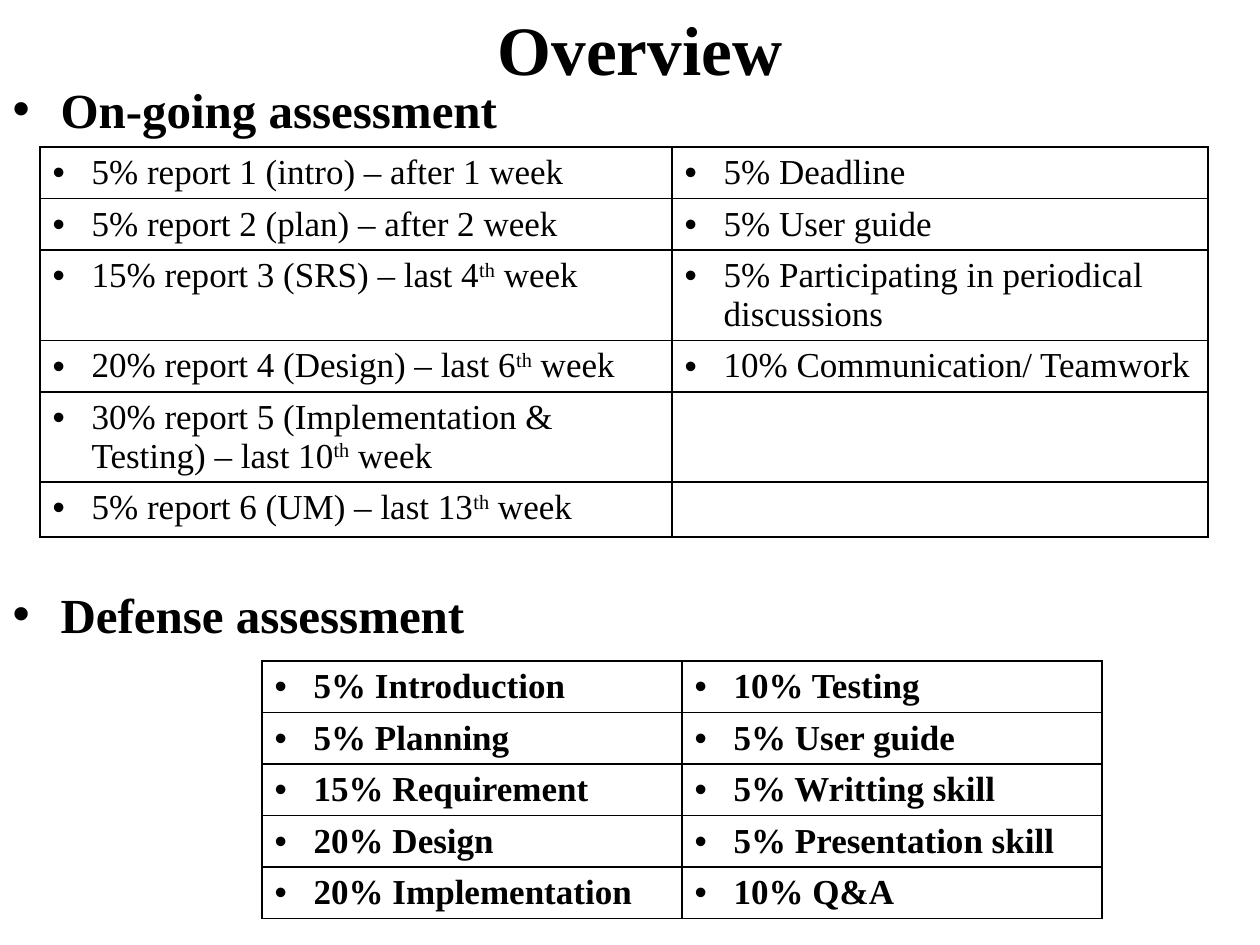
"""Build the course assessment overview slide."""
from dataclasses import dataclass

from lxml import etree
from pptx import Presentation
from pptx.dml.color import RGBColor
from pptx.enum.text import MSO_ANCHOR, MSO_AUTO_SIZE, PP_ALIGN
from pptx.oxml.ns import qn
from pptx.util import Emu, Pt

CENTER, JUSTIFY, LEFT = PP_ALIGN.CENTER, PP_ALIGN.JUSTIFY, PP_ALIGN.LEFT
MIDDLE, TOP = MSO_ANCHOR.MIDDLE, MSO_ANCHOR.TOP
NO_FIT = MSO_AUTO_SIZE.NONE
PX_PER_INCH = 126


@dataclass(frozen=True)
class Theme:
    face: str = "Times New Roman"
    ink: str = "000000"
    title_size: float = 39.6
    heading_size: int = 28
    cell_size: int = 20
    border_width: int = 1
    heading_indent: int = 48
    cell_indent: int = 39


@dataclass(frozen=True)
class Box:
    left: int
    top: int
    width: int
    height: int


@dataclass(frozen=True)
class Heading:
    text: str
    space_before: int


@dataclass(frozen=True)
class Marks:
    left: int
    top: int
    columns: tuple[int, ...]
    row_heights: tuple[int, ...]
    rows: tuple[tuple[str, str], ...]
    bold: bool


THEME = Theme()
TITLE_BOX = Box(73, 0, 1134, 95)
BODY_BOX = Box(0, 73, 1260, 872)
HEADINGS = (Heading("On-going assessment", 3), Heading("Defense assessment", 255))
ONGOING = Marks(
    40, 147, (632, 536), (51, 51, 90, 51, 90, 55),
    (
        ("5% report 1 (intro) – after 1 week", "5% Deadline"),
        ("5% report 2 (plan) – after 2 week", "5% User guide"),
        ("15% report 3 (SRS) – last 4^th^ week", "5% Participating in periodical discussions"),
        ("20% report 4 (Design) – last 6^th^ week", "10% Communication/ Teamwork"),
        ("30% report 5 (Implementation & Testing) – last 10^th^ week", ""),
        ("5% report 6 (UM) – last 13^th^ week", ""),
    ),
    bold=False,
)
DEFENSE = Marks(
    262, 661, (420, 420), (51,) * 5,
    (
        ("5% Introduction", "10% Testing"),
        ("5% Planning", "5% User guide"),
        ("15% Requirement", "5% Writting skill"),
        ("20% Design", "5% Presentation skill"),
        ("20% Implementation", "10% Q&A"),
    ),
    bold=True,
)


def px(length: int) -> Emu:
    """Turn pixels into EMU."""
    return Emu(round(length * 914400 / PX_PER_INCH))


def place(shape, box: Box) -> None:
    """Move and size a placeholder."""
    shape.left, shape.top = px(box.left), px(box.top)
    shape.width, shape.height = px(box.width), px(box.height)


def style(paragraph, size: float, bold: bool, align: PP_ALIGN) -> None:
    """Set the font and alignment of a paragraph."""
    paragraph.alignment = align
    font = paragraph.font
    font.name, font.size, font.bold = THEME.face, Pt(size), bold
    font.color.rgb = RGBColor.from_string(THEME.ink)


def add_bullet(paragraph, indent: int) -> None:
    """Give an unformatted paragraph a hanging round bullet."""
    properties = paragraph._p.get_or_add_pPr()
    properties.set("marL", str(px(indent)))
    properties.set("indent", str(-px(indent)))
    etree.SubElement(properties, qn("a:buFont"), typeface="Arial")
    etree.SubElement(properties, qn("a:buChar"), char="•")


def add_marked_text(paragraph, text: str) -> None:
    """Add runs, raising each part that stands between carets."""
    for position, part in enumerate(text.split("^")):
        run = paragraph.add_run()
        run.text = part
        if position % 2:
            run._r.get_or_add_rPr().set("baseline", "30000")


def add_borders(cell) -> None:
    """Draw a thin line on all four sides of a cell."""
    properties = cell._tc.get_or_add_tcPr()
    for position, side in enumerate(("lnL", "lnR", "lnT", "lnB")):
        line = etree.Element(qn(f"a:{side}"), w=str(Pt(THEME.border_width)))
        fill = etree.SubElement(line, qn("a:solidFill"))
        etree.SubElement(fill, qn("a:srgbClr"), val=THEME.ink)
        properties.insert(position, line)


def fill_title(title) -> None:
    """Write the slide title."""
    place(title, TITLE_BOX)
    frame = title.text_frame
    frame.auto_size, frame.vertical_anchor = NO_FIT, MIDDLE
    frame.text = "Overview"
    style(frame.paragraphs[0], THEME.title_size, True, CENTER)


def fill_headings(body) -> None:
    """Write the two section headings, leaving room for the first table."""
    place(body, BODY_BOX)
    frame = body.text_frame
    frame.auto_size, frame.vertical_anchor = NO_FIT, TOP
    frame.text = "\n".join(heading.text for heading in HEADINGS)
    for paragraph, heading in zip(frame.paragraphs, HEADINGS):
        add_bullet(paragraph, THEME.heading_indent)
        paragraph.space_before = Pt(heading.space_before)
        style(paragraph, THEME.heading_size, True, JUSTIFY)


def add_marks(slide, marks: Marks) -> None:
    """Add a bordered table of bulleted marks."""
    table = slide.shapes.add_table(
        len(marks.rows), len(marks.columns), px(marks.left), px(marks.top),
        px(sum(marks.columns)), px(sum(marks.row_heights)),
    ).table
    table.first_row = table.horz_banding = False
    for column, width in zip(table.columns, marks.columns):
        column.width = px(width)
    for row, height, texts in zip(table.rows, marks.row_heights, marks.rows):
        row.height = px(height)
        for cell, text in zip(row.cells, texts):
            cell.fill.background()
            add_borders(cell)
            if text:
                paragraph = cell.text_frame.paragraphs[0]
                add_bullet(paragraph, THEME.cell_indent)
                add_marked_text(paragraph, text)
                style(paragraph, THEME.cell_size, marks.bold, LEFT)


def main() -> None:
    """Build and save the slide."""
    deck = Presentation()
    deck.slide_width, deck.slide_height = px(1260), px(945)
    slide = deck.slides.add_slide(deck.slide_layouts[1])
    fill_title(slide.shapes.title)
    fill_headings(slide.placeholders[1])
    for marks in (DEFENSE, ONGOING):
        add_marks(slide, marks)
    deck.save("out.pptx")


if __name__ == "__main__":
    main()
